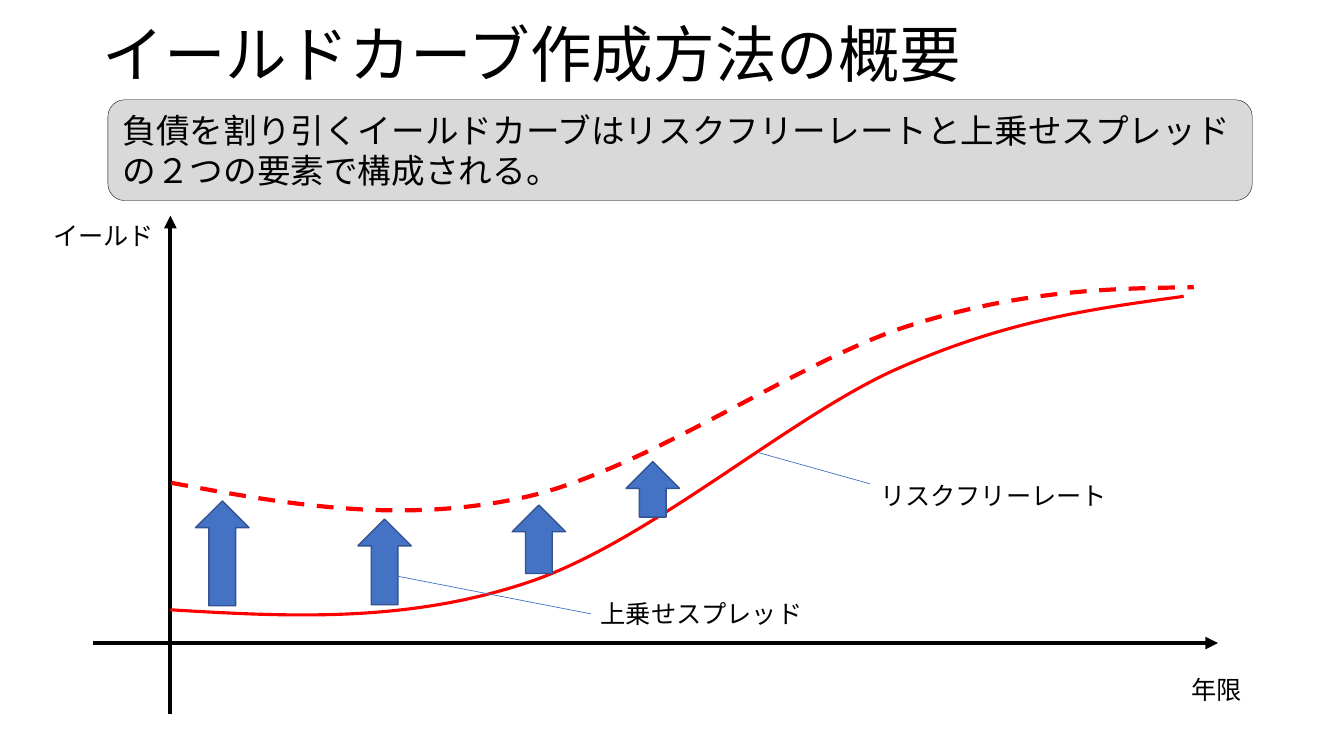
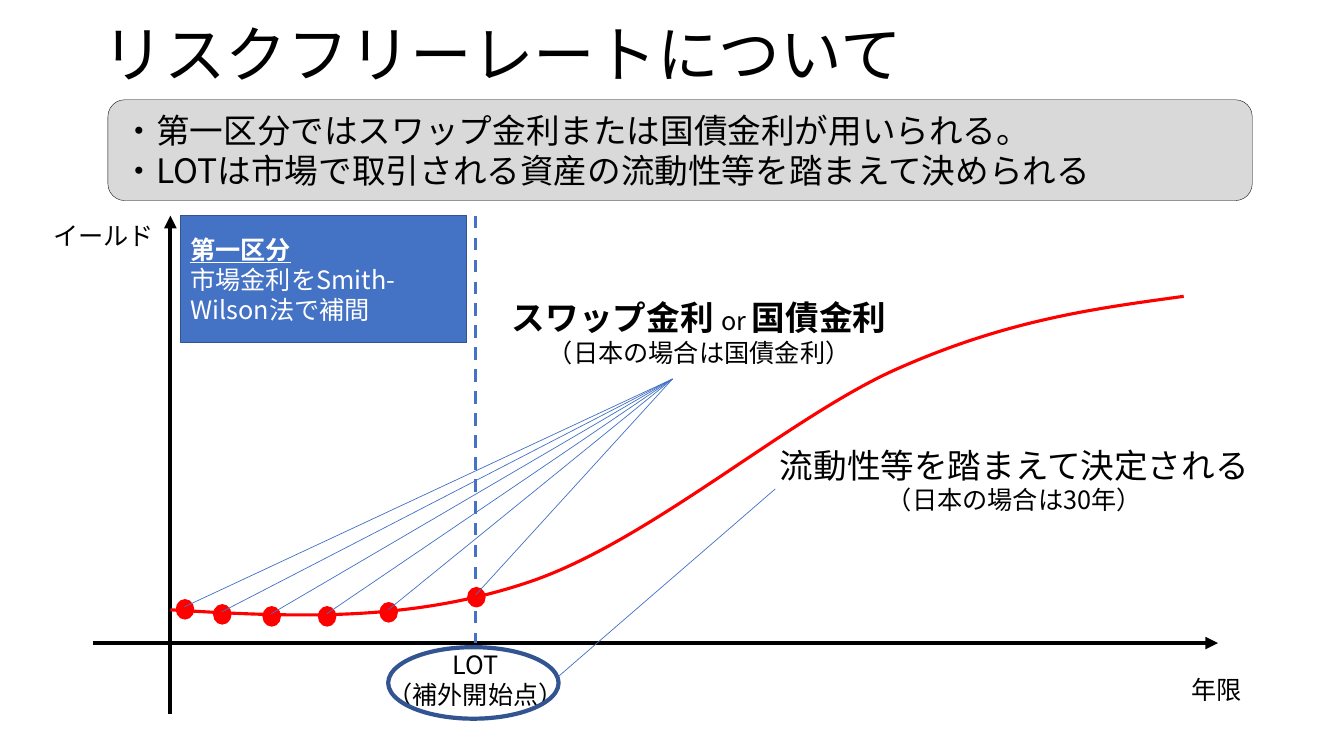
from lxml import etree
from pptx import Presentation
from pptx import util as u
from pptx.dml.color import RGBColor
from pptx.enum import dml, shapes, text
from pptx.oxml.ns import qn

PX = 9144  # EMU per px, 100 px to the inch
FONT = "Noto Sans CJK JP"
COLORS = {
    "black": "000000",
    "white": "FFFFFF",
    "gray": "D9D9D9",
    "blue": "4472C4",
    "navy": "325491",
    "red": "FF0000",
}
CENTER = text.PP_ALIGN.CENTER
MIDDLE = text.MSO_ANCHOR.MIDDLE
SHAPE = shapes.MSO_SHAPE

# Bezier points: a start, then two controls and an end for each segment
RISK_FREE_CURVE = [
    (169, 605), (286, 612), (403, 618), (523, 578), (644, 538),
    (784, 412), (892, 365), (1001, 317), (1087, 306), (1174, 294),
]
SPREAD_CURVE = [
    (170, 479), (282, 500), (395, 520), (517, 494), (639, 468),
    (791, 358), (902, 323), (1013, 288), (1099, 286), (1184, 285),
]


def color(name):
    return RGBColor.from_string(COLORS[name])


class Deck:
    def __init__(self, width, height):
        self.presentation = Presentation()
        self.presentation.slide_width = width * PX
        self.presentation.slide_height = height * PX
        self.slide = None

    def new_slide(self, title, banner):
        """Start a slide with its title and gray summary band."""
        self.slide = self.presentation.slides.add_slide(self.presentation.slide_layouts[6])
        self.text((92, 15, 1150, 84), [title], size=44, anchor=MIDDLE, spacing=0.9)
        band = self.shape(SHAPE.ROUNDED_RECTANGLE, (107, 99, 1135, 100),
                          "gray", "black", 0.25)
        self.fill_text(band, banner, size=24, anchor=MIDDLE)

    def fill_text(self, shape, paragraphs, size=18, ink="black", align=text.PP_ALIGN.LEFT,
                  anchor=text.MSO_ANCHOR.TOP, wrap=True, spacing=None):
        """Fill a shape; a paragraph is a string or a list of (text, font values)."""
        frame = shape.text_frame
        frame.word_wrap = wrap
        frame.vertical_anchor = anchor
        for index, runs in enumerate(paragraphs):
            paragraph = frame.paragraphs[0] if index == 0 else frame.add_paragraph()
            paragraph.alignment = align
            paragraph.line_spacing = spacing
            for words, values in [(runs, {})] if isinstance(runs, str) else runs:
                run = paragraph.add_run()
                run.text = words
                run.font.color.rgb = color(ink)
                for name, value in {"name": FONT, "size": u.Pt(size), **values}.items():
                    setattr(run.font, name, value)
                east_asian = etree.SubElement(run.font._element, qn("a:ea"))
                east_asian.set("typeface", FONT)

    def text(self, box, paragraphs, **style):
        textbox = self.slide.shapes.add_textbox(*(value * PX for value in box))
        self.fill_text(textbox, paragraphs, **style)
        return textbox

    def label(self, box, words):
        return self.text(box, [words], wrap=False)

    def outline(self, line, ink, weight, dashed=False):
        line.color.rgb = color(ink)
        line.width = u.Pt(weight)
        if dashed:
            line.dash_style = dml.MSO_LINE.DASH

    def shape(self, kind, box, fill, ink, weight=1):
        shape = self.slide.shapes.add_shape(kind, *(value * PX for value in box))
        shape.shadow.inherit = False
        if fill:
            shape.fill.solid()
            shape.fill.fore_color.rgb = color(fill)
        else:
            shape.fill.background()
        self.outline(shape.line, ink, weight)
        return shape

    def line(self, start, end, ink="blue", weight=0.5, dashed=False, arrow=False):
        connector = self.slide.shapes.add_connector(
            shapes.MSO_CONNECTOR.STRAIGHT, *(value * PX for value in start + end))
        self.outline(connector.line, ink, weight, dashed)
        properties = connector._element.spPr
        if arrow:
            tail = etree.SubElement(properties.find(qn("a:ln")), qn("a:tailEnd"))
            tail.set("type", "triangle")
        etree.SubElement(properties, qn("a:effectLst"))
        return connector

    def curve(self, points, weight, dashed=False):
        """Draw a freeform whose points after the first form cubic segments."""
        builder = self.slide.shapes.build_freeform(*points[0], scale=PX)
        builder.add_line_segments(points[1:], close=False)
        curve = builder.convert_to_shape()
        curve.shadow.inherit = False
        curve.fill.background()
        self.outline(curve.line, "red", weight, dashed)
        steps = list(curve._element.iter(qn("a:lnTo")))
        outline = steps[0].getparent()
        for first in range(0, len(steps), 3):
            segment = etree.SubElement(outline, qn("a:cubicBezTo"))
            for step in steps[first:first + 3]:
                segment.append(step[0])
                outline.remove(step)

    def yield_chart(self):
        """Draw the axes, their names and the risk-free curve."""
        self.line((92, 638), (1208, 638), "black", 3, arrow=True)
        self.line((169, 708), (169, 214), "black", 3, arrow=True)
        self.label((43, 214, 121, 40), "イールド")
        self.label((1172, 664, 71, 40), "年限")
        self.curve(RISK_FREE_CURVE, 2.25)


def overview_slide(deck):
    deck.new_slide("イールドカーブ作成方法の概要", [
        "負債を割り引くイールドカーブはリスクフリーレートと上乗せスプレッドの２つの要素で構成される。"])
    deck.yield_chart()
    deck.curve(SPREAD_CURVE, 3, dashed=True)
    deck.line((752, 449), (863, 480))
    deck.label((863, 472, 247, 40), "リスクフリーレート")
    for left, top, height in [(194, 497, 104), (355, 515, 85), (508, 501, 68), (621, 458, 55)]:
        deck.shape(SHAPE.UP_ARROW, (left, top, 53, height), "blue", "navy")
    spread_label = deck.label((586, 589, 222, 40), "上乗せスプレッド")
    deck.line((386, 570), (586, 609)).end_connect(spread_label, 1)


def risk_free_slide(deck):
    deck.new_slide("リスクフリーレートについて", [
        "・第一区分ではスワップ金利または国債金利が用いられる。",
        "・LOTは市場で取引される資産の流動性等を踏まえて決められる"])
    deck.yield_chart()
    deck.line((472, 214), (472, 638), weight=2.25, dashed=True)
    first_segment = deck.shape(SHAPE.RECTANGLE, (179, 214, 284, 126), "blue", "navy")
    deck.fill_text(first_segment, [
        [("第一区分", {"bold": True, "underline": True})],
        "市場金利をSmith-Wilson法で補間"], ink="white", anchor=MIDDLE)

    for left, top in [(175, 595), (212, 600), (261, 602), (316, 602), (377, 598), (464, 583)]:
        deck.shape(SHAPE.OVAL, (left, top, 17, 19), "red", "red")
        deck.line((667, 376), (left + 8, top + 7))

    deck.text((372, 639, 199, 71), ["LOT", "（補外開始点）"], align=CENTER)
    heading = {"size": u.Pt(24), "bold": True}
    deck.text((495, 290, 397, 81), [
        [("スワップ金利 ", heading), ("or ", {}), ("国債金利", heading)],
        "（日本の場合は国債金利）"], align=CENTER)
    deck.shape(SHAPE.OVAL, (385, 642, 169, 71), None, "navy", 3)
    deck.line((769, 485), (554, 671))
    deck.text((752, 436, 508, 81), [
        [("流動性等を踏まえて決定される", {"size": u.Pt(24)})],
        "（日本の場合は30年）"], align=CENTER)


def main():
    deck = Deck(1333, 750)
    overview_slide(deck)
    risk_free_slide(deck)
    deck.presentation.save("out.pptx")


if __name__ == "__main__":
    main()
